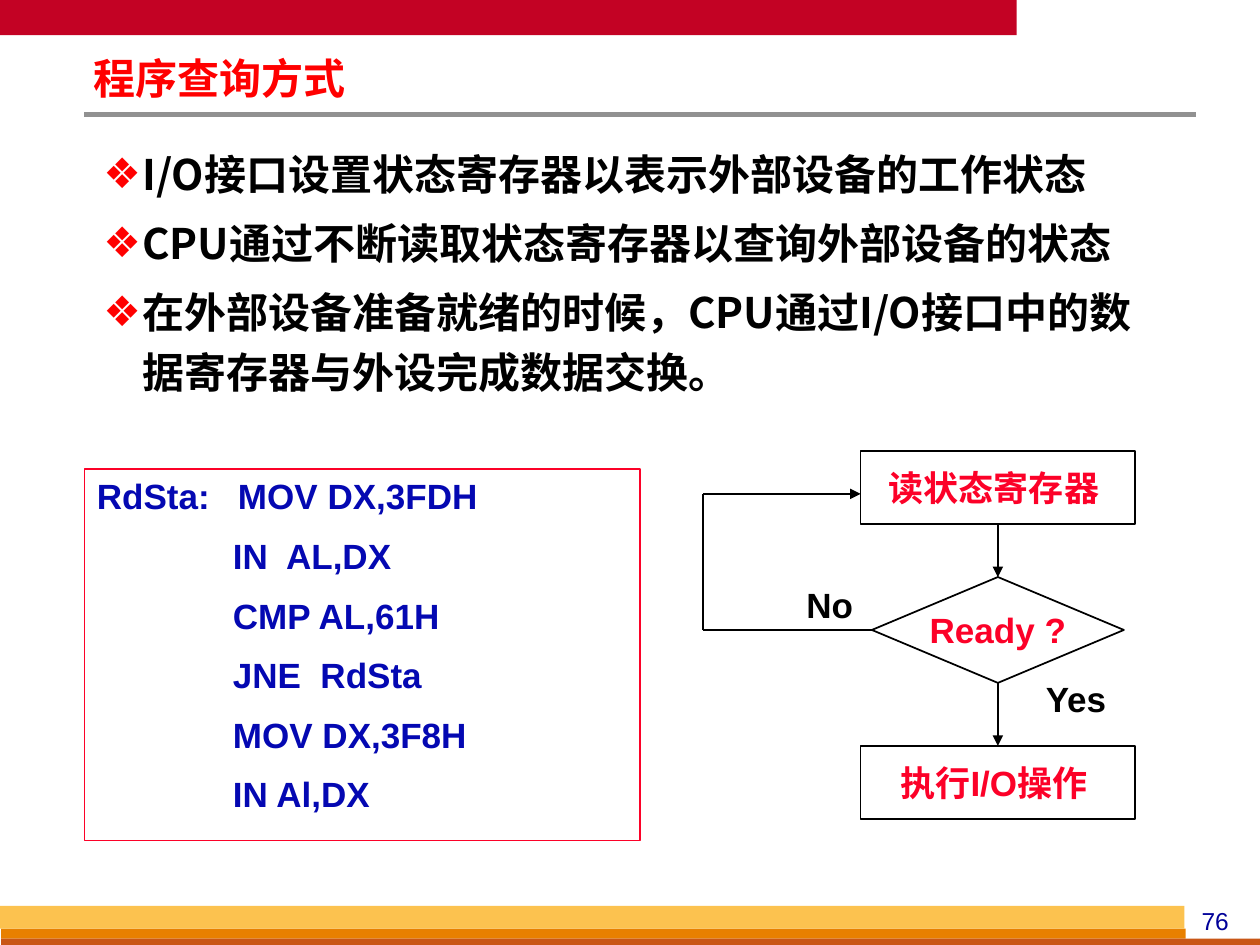
"""Build the slide on programmed I/O polling, with its code listing and flowchart."""
import pptx
import pptx.dml.color
import pptx.enum.shapes
import pptx.enum.text
import pptx.oxml.ns
import pptx.util
from lxml import etree

Inches = pptx.util.Inches
Pt = pptx.util.Pt
RGBColor = pptx.dml.color.RGBColor
qn = pptx.oxml.ns.qn
MSO_SHAPE = pptx.enum.shapes.MSO_SHAPE
PP_ALIGN = pptx.enum.text.PP_ALIGN
MSO_ANCHOR = pptx.enum.text.MSO_ANCHOR

COLORS = {
    "banner": "C30224", "rule": "919191", "gold": "FCC24F", "orange": "E88000",
    "rust": "C95616", "red": "FF0000", "flow": "FC0128", "code": "0408B2",
    "number": "000099", "black": "000000",
}
CJK_FONT = "Noto Sans CJK SC"


def format_text(shape, size, color, font="Arial", bold=True, align=PP_ALIGN.LEFT):
    for paragraph in shape.text_frame.paragraphs:
        paragraph.alignment = align
        for run in paragraph.runs:
            run.font.size = Pt(size)
            run.font.bold = bold
            run.font.name = font
            run.font.color.rgb = RGBColor.from_string(COLORS[color])
            if run.font._element.find(qn("a:ea")) is None:
                etree.SubElement(run.font._element, qn("a:ea"), typeface=CJK_FONT)


def add_line(start, end, color="black", width=1, arrow=False):
    connector = slide.shapes.add_connector(
        pptx.enum.shapes.MSO_CONNECTOR.STRAIGHT, *map(Inches, start + end))
    connector.line.color.rgb = RGBColor.from_string(COLORS[color])
    connector.line.width = Pt(width)
    if arrow:
        etree.SubElement(connector.line._get_or_add_ln(), qn("a:tailEnd"), type="triangle")
    etree.SubElement(connector._element.spPr, qn("a:effectLst"))
    return connector


presentation = pptx.Presentation()
presentation.slide_width = Inches(10)
presentation.slide_height = Inches(7.5)
slide = presentation.slides.add_slide(presentation.slide_layouts[1])

bars = [
    ("banner", 0, 0, 8.07, 0.28),
    ("orange", 0.01, 7.37, 9.4, 0.08),
    ("rust", 0.01, 7.45, 9.99, 0.05),
    ("gold", 0, 7.19, 9.4, 0.18),
]
for color, *box in bars:
    bar = slide.shapes.add_shape(MSO_SHAPE.RECTANGLE, *map(Inches, box))
    bar.shadow.inherit = False
    bar.fill.solid()
    bar.fill.fore_color.rgb = RGBColor.from_string(COLORS[color])
    bar.line.fill.background()
add_line((0.67, 0.91), (9.49, 0.91), "rule", 3)

title = slide.shapes.title
body = slide.placeholders[1]
title.text_frame.text = "程序查询方式"
body.text_frame.text = "\n".join([
    "I/O接口设置状态寄存器以表示外部设备的工作状态",
    "CPU通过不断读取状态寄存器以查询外部设备的状态",
    "在外部设备准备就绪的时候，CPU通过I/O接口中的数据寄存器与外设完成数据交换。",
])
for placeholder, color, box in [
    (title, "red", (0.67, 0.44, 5.75, 0.41)),
    (body, "black", (0.75, 1.07, 8.58, 2.13)),
]:
    placeholder.left, placeholder.top, placeholder.width, placeholder.height = map(Inches, box)
    frame = placeholder.text_frame
    frame.auto_size = pptx.enum.text.MSO_AUTO_SIZE.NONE
    frame.margin_left = frame.margin_right = Inches(0.07)
    frame.margin_top = frame.margin_bottom = Inches(0.03)
    format_text(placeholder, 24, color, CJK_FONT)
title.text_frame.paragraphs[0].line_spacing = 0.87

for paragraph in body.text_frame.paragraphs:
    paragraph.line_spacing = 1.2
    paragraph.space_before = paragraph.space_after = Pt(2.4)
    properties = paragraph._p.get_or_add_pPr()
    properties.set("marL", str(Inches(0.31)))
    properties.set("indent", str(-Inches(0.31)))
    bullet_color = etree.SubElement(properties, qn("a:buClr"))
    etree.SubElement(bullet_color, qn("a:srgbClr"), val=COLORS["red"])
    etree.SubElement(properties, qn("a:buChar"), char="❖")

boxes = []
for kind, text, *box in [
    (MSO_SHAPE.RECTANGLE, "读状态寄存器 ", 6.83, 3.58, 2.18, 0.58),
    (MSO_SHAPE.DIAMOND, "Ready ?", 6.92, 4.58, 2, 0.84),
    (MSO_SHAPE.RECTANGLE, "执行I/O操作 ", 6.83, 5.92, 2.18, 0.58),
    (MSO_SHAPE.RECTANGLE, "RdSta:\tMOV DX,3FDH\nIN  AL,DX\nCMP AL,61H\nJNE  RdSta\n"
                          "MOV DX,3F8H\nIN Al,DX", 0.67, 3.72, 4.41, 2.95),
]:
    shape = slide.shapes.add_shape(kind, *map(Inches, box))
    shape.shadow.inherit = False
    shape.fill.background()
    shape.line.color.rgb = RGBColor.from_string(COLORS["black"])
    shape.line.width = Pt(1)
    shape.text_frame.text = text
    shape.text_frame.word_wrap = False
    shape.text_frame.vertical_anchor = MSO_ANCHOR.MIDDLE
    format_text(shape, 20, "flow", align=PP_ALIGN.CENTER)
    boxes.append(shape)
read_box, ready_diamond, operate_box, code_box = boxes

code_box.line.color.rgb = RGBColor.from_string(COLORS["flow"])
code_box.text_frame.word_wrap = True
code_box.text_frame.vertical_anchor = MSO_ANCHOR.TOP
format_text(code_box, 20, "code")
for index, paragraph in enumerate(code_box.text_frame.paragraphs):
    paragraph.space_before = Pt(10 if index else 0)
    properties = paragraph._p.get_or_add_pPr()
    properties.set("marL", str(Inches(1.08 if index else 1.12)))
    properties.set("indent", str(0 if index else -Inches(1.12)))

for upper, lower, start, end in [
    (read_box, ready_diamond, (7.92, 4.16), (7.92, 4.58)),
    (ready_diamond, operate_box, (7.92, 5.42), (7.92, 5.92)),
]:
    connector = add_line(start, end, arrow=True)
    connector.begin_connect(upper, 2)
    connector.end_connect(lower, 0)
add_line((6.92, 5), (5.58, 5)).begin_connect(ready_diamond, 1)
add_line((5.58, 5), (5.58, 3.92))
add_line((5.58, 3.92), (6.83, 3.92), arrow=True)

for text, size, color, bold, *box in [
    ("No", 20, "black", True, 6.17, 4.58, 0.83, 0.43),
    ("Yes", 20, "black", True, 8.08, 5.33, 0.92, 0.43),
    ("76", 14, "number", False, 9.33, 7.14, 0.63, 0.33),
]:
    label = slide.shapes.add_textbox(*map(Inches, box))
    label.text_frame.word_wrap = True
    label.text_frame.text = text
    format_text(label, size, color, bold=bold, align=PP_ALIGN.CENTER)

presentation.save("out.pptx")
